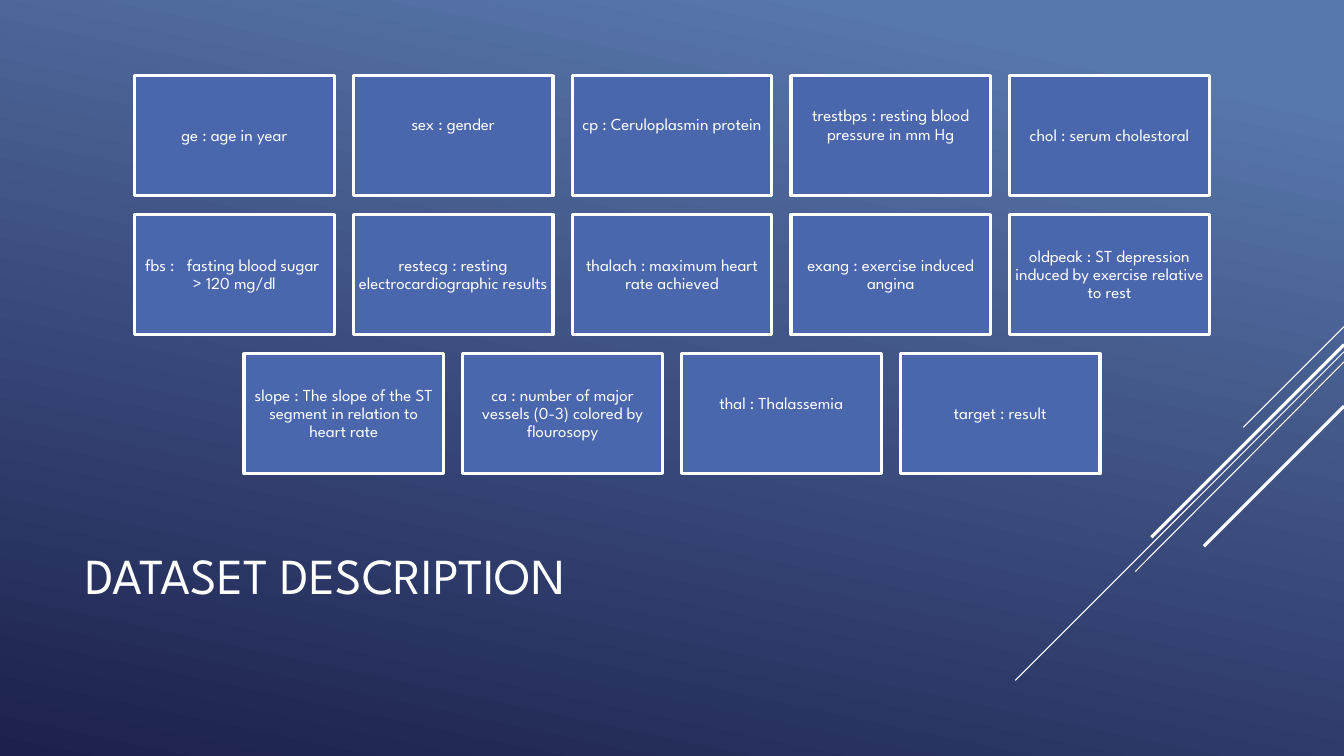
from dataclasses import dataclass

from lxml import etree
from pptx import Presentation
from pptx.dml.color import RGBColor
from pptx.enum.shapes import MSO_CONNECTOR, MSO_SHAPE
from pptx.enum.text import MSO_ANCHOR, PP_ALIGN
from pptx.oxml.ns import qn
from pptx.slide import Slide
from pptx.text.text import TextFrame
from pptx.util import Inches, Pt

RECTANGLE = MSO_SHAPE.RECTANGLE
STRAIGHT = MSO_CONNECTOR.STRAIGHT
MIDDLE = MSO_ANCHOR.MIDDLE
LEFT = PP_ALIGN.LEFT
CENTER = PP_ALIGN.CENTER


@dataclass(frozen=True)
class Theme:
    font: str = "League Spartan"
    white: RGBColor = RGBColor(0xFF, 0xFF, 0xFF)
    card: RGBColor = RGBColor(0x4A, 0x66, 0xAC)
    sky: RGBColor = RGBColor(0x58, 0x77, 0xAB)
    night: RGBColor = RGBColor(0x1C, 0x20, 0x4D)
    title_size: float = 36
    card_size: float = 12
    thin: float = 0.75
    thick: float = 2.25


@dataclass(frozen=True)
class Card:
    text: str
    raised: bool = False  # text sits half a line above the middle


@dataclass(frozen=True)
class Ray:
    start_y: float
    end_x: float
    end_y: float
    width: float


THEME = Theme()
SLIDE_WIDTH, SLIDE_HEIGHT = 13.33, 7.5
CARD_WIDTH, CARD_HEIGHT, CARD_GAP = 1.98, 1.19, 0.19
CARDS_TOP = 0.75
CARD_INSET, RAISED_INSET = 0.05, 0.25

CARD_ROWS = [
    [
        Card("ge : age in year"),
        Card("sex : gender", raised=True),
        Card("cp : Ceruloplasmin protein", raised=True),
        Card("trestbps : resting blood pressure in mm Hg", raised=True),
        Card("chol : serum cholestoral"),
    ],
    [
        Card("fbs :   fasting blood sugar  > 120 mg/dl"),
        Card("restecg : resting electrocardiographic results"),
        Card("thalach : maximum heart rate achieved"),
        Card("exang : exercise induced angina"),
        Card("oldpeak : ST depression induced by exercise relative to rest"),
    ],
    [
        Card("slope : The slope of the ST segment in relation to heart rate"),
        Card("ca : number of major vessels (0-3) colored by flourosopy"),
        Card("thal : Thalassemia", raised=True),
        Card("target : result"),
    ],
]

RAYS = [
    Ray(3.24, 12.33, 4.24, THEME.thin),
    Ray(3.49, 10.07, 6.75, THEME.thin),
    Ray(3.59, 11.26, 5.67, THEME.thin),
    Ray(3.42, 11.42, 5.33, THEME.thick),
    Ray(4.03, 11.94, 5.42, THEME.thick),
]


def paint_background(slide: Slide) -> None:
    fill = slide.background.fill
    fill.gradient()
    fill.gradient_angle = 360 - 102
    stops = [(0.1, THEME.sky), (1.0, THEME.night)]
    for stop, (position, color) in zip(fill.gradient_stops, stops):
        stop.position = position
        stop.color.rgb = color


def write_text(frame: TextFrame, text: str, size: float, alignment: PP_ALIGN) -> None:
    frame.word_wrap = True
    frame.vertical_anchor = MIDDLE
    paragraph = frame.paragraphs[0]
    paragraph.alignment = alignment
    paragraph.line_spacing = 0.9
    run = paragraph.add_run()
    run.text = text
    run.font.name = THEME.font
    run.font.size = Pt(size)
    run.font.color.rgb = THEME.white


def draw_ray(slide: Slide, ray: Ray) -> None:
    connector = slide.shapes.add_connector(
        STRAIGHT,
        Inches(SLIDE_WIDTH), Inches(ray.start_y),
        Inches(ray.end_x), Inches(ray.end_y),
    )
    connector.line.color.rgb = THEME.white
    connector.line.width = Pt(ray.width)
    etree.SubElement(connector._element.spPr, qn("a:effectLst"))


def draw_card(slide: Slide, card: Card, left: float, top: float) -> None:
    shape = slide.shapes.add_shape(
        RECTANGLE, Inches(left), Inches(top), Inches(CARD_WIDTH), Inches(CARD_HEIGHT)
    )
    shape.shadow.inherit = False
    shape.fill.solid()
    shape.fill.fore_color.rgb = THEME.card
    shape.line.color.rgb = THEME.white
    shape.line.width = Pt(THEME.thick)
    frame = shape.text_frame
    frame.margin_left = frame.margin_right = frame.margin_top = Inches(CARD_INSET)
    frame.margin_bottom = Inches(RAISED_INSET if card.raised else CARD_INSET)
    write_text(frame, card.text, THEME.card_size, CENTER)


def draw_cards(slide: Slide) -> None:
    for row_index, row in enumerate(CARD_ROWS):
        # Each row is centred on the slide
        row_width = len(row) * (CARD_WIDTH + CARD_GAP) - CARD_GAP
        row_left = (SLIDE_WIDTH - row_width) / 2
        top = CARDS_TOP + row_index * (CARD_HEIGHT + CARD_GAP)
        for column, card in enumerate(row):
            draw_card(slide, card, row_left + column * (CARD_WIDTH + CARD_GAP), top)


def main() -> None:
    presentation = Presentation()
    presentation.slide_width = Inches(SLIDE_WIDTH)
    presentation.slide_height = Inches(SLIDE_HEIGHT)
    slide = presentation.slides.add_slide(presentation.slide_layouts[6])

    # Background and diagonal rays
    paint_background(slide)
    for ray in RAYS:
        draw_ray(slide, ray)

    # Title
    title = slide.shapes.add_textbox(
        Inches(0.75), Inches(4.91), Inches(9.33), Inches(1.65)
    )
    write_text(title.text_frame, "DATASET DESCRIPTION", THEME.title_size, LEFT)

    # Dataset columns
    draw_cards(slide)

    presentation.save("out.pptx")


if __name__ == "__main__":
    main()
